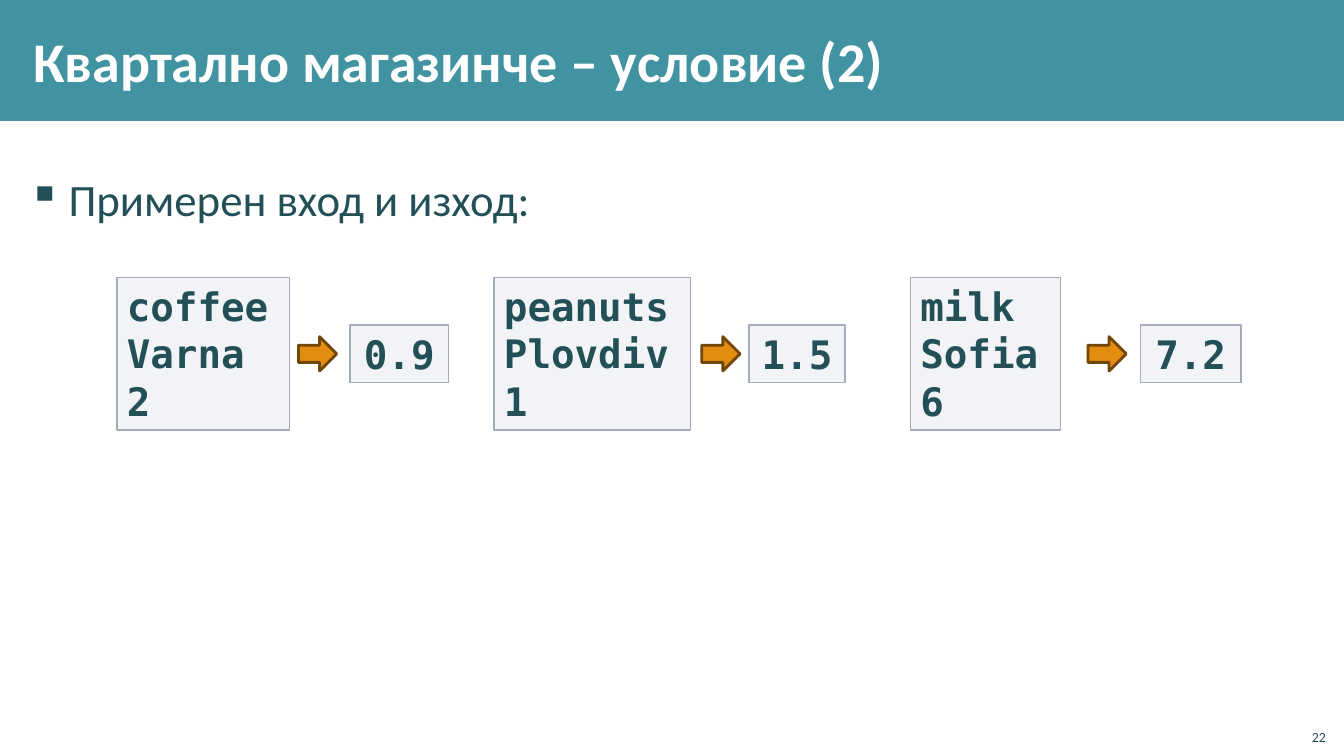
import pptx
import pptx.dml.color
import pptx.enum.shapes
import pptx.enum.text
import pptx.oxml
import pptx.oxml.ns
import pptx.util
from dataclasses import dataclass

Inches = pptx.util.Inches
Pt = pptx.util.Pt
Shape = pptx.enum.shapes.MSO_SHAPE
Align = pptx.enum.text.PP_ALIGN
Anchor = pptx.enum.text.MSO_ANCHOR
Fit = pptx.enum.text.MSO_AUTO_SIZE


@dataclass(frozen=True)
class Theme:
    sans: str = "Calibri"
    mono: str = "DejaVu Sans Mono"
    band: str = "4193A1"
    ink: str = "235057"
    white: str = "FFFFFF"
    panel: str = "C2C7D2"
    edge: str = "A3ABBC"
    arrow: str = "E28D10"
    rim: str = "714608"
    head: int = 40
    body: int = 32
    code: int = 28
    small: int = 10


THEME = Theme()

# Input lines, output, then left and width of the input box,
# left of the arrow, left and width of the output box
CASES = [
    ("coffee\nVarna\n2", "0.9", 1.16, 1.71, 2.96, 3.47, 0.98),
    ("peanuts\nPlovdiv\n1", "1.5", 4.9, 1.95, 6.96, 7.43, 0.95),
    ("milk\nSofia\n6", "7.2", 9.03, 1.49, 10.79, 11.31, 1),
]
MIDDLE = 3.51


def rgb(code):
    return pptx.dml.color.RGBColor.from_string(code)


def write(frame, text, size, color=THEME.ink, font=THEME.sans, bold=False,
          align=Align.LEFT, anchor=Anchor.TOP):
    frame.text = text
    frame.word_wrap = True
    frame.vertical_anchor = anchor
    for para in frame.paragraphs:
        para.alignment = align
        for run in para.runs:
            run.font.size = Pt(size)
            run.font.name = font
            run.font.bold = bold
            run.font.color.rgb = rgb(color)


def pad(frame):
    frame.margin_left = frame.margin_right = Inches(0.12)
    frame.margin_top = frame.margin_bottom = Inches(0.04)


def block(slide, kind, left, top, width, height, fill, line=None, weight=1):
    shape = slide.shapes.add_shape(kind, Inches(left), Inches(top),
                                   Inches(width), Inches(height))
    shape.shadow.inherit = False
    shape.fill.solid()
    shape.fill.fore_color.rgb = rgb(fill)
    if line:
        shape.line.color.rgb = rgb(line)
        shape.line.width = Pt(weight)
    else:
        shape.line.fill.background()
    return shape


def label(slide, left, top, width, height):
    box = slide.shapes.add_textbox(Inches(left), Inches(top),
                                   Inches(width), Inches(height))
    return box.text_frame


def fade(shape, percent):
    color = shape.element.spPr.find(".//" + pptx.oxml.ns.qn("a:srgbClr"))
    color.append(pptx.oxml.parse_xml(
        f'<a:alpha {pptx.oxml.ns.nsdecls("a")} val="{percent * 1000}"/>'))


def panel(slide, text, left, width, height, align):
    box = block(slide, Shape.RECTANGLE, left, MIDDLE - height / 2, width,
                height, THEME.panel, THEME.edge)
    fade(box, 20)
    write(box.text_frame, text, THEME.code, font=THEME.mono, bold=True,
          align=align)
    box.text_frame.auto_size = Fit.SHAPE_TO_FIT_TEXT


def header(slide, text):
    title = slide.shapes.title
    title.left, title.top = Inches(0.21), Inches(0.11)
    title.width, title.height = Inches(10.71), Inches(0.97)
    pad(title.text_frame)
    write(title.text_frame, text, THEME.head, THEME.white, bold=True,
          anchor=Anchor.MIDDLE)
    # The band goes behind the title
    band = block(slide, Shape.RECTANGLE, 0, 0, 13.33, 1.2, THEME.band)
    title.element.addprevious(band.element)


def bullet(slide, text):
    frame = label(slide, 0.16, 1.64, 12.92, 5.08)
    pad(frame)
    write(frame, text, THEME.body)
    para = frame.paragraphs[0]
    props = para._p.get_or_add_pPr()
    props.set("marL", str(Inches(0.4)))
    props.set("indent", str(Inches(-0.4)))
    props.append(pptx.oxml.parse_xml(
        f'<a:buChar {pptx.oxml.ns.nsdecls("a")} char="▪"/>'))
    para.line_spacing = 1.05
    para.space_after = Pt(6)


def sample(slide, given, result, left, width, mid, right, span):
    panel(slide, given, left, width, 1.51, Align.LEFT)
    block(slide, Shape.RIGHT_ARROW, mid, MIDDLE - 0.17, 0.38, 0.34,
          THEME.arrow, THEME.rim, 2)
    panel(slide, result, right, span, 0.57, Align.CENTER)


def main():
    deck = pptx.Presentation()
    deck.slide_width, deck.slide_height = Inches(13.33), Inches(7.5)
    slide = deck.slides.add_slide(deck.slide_layouts[5])

    # Title and lead line
    header(slide, "Квартално магазинче – условие (2)")
    bullet(slide, "Примерен вход и изход:")

    # Input and output samples
    for case in CASES:
        sample(slide, *case)

    # Page number
    write(label(slide, 12.85, 7.12, 0.4, 0.32), "22", THEME.small,
          align=Align.RIGHT, anchor=Anchor.BOTTOM)

    deck.save("out.pptx")


if __name__ == "__main__":
    main()
